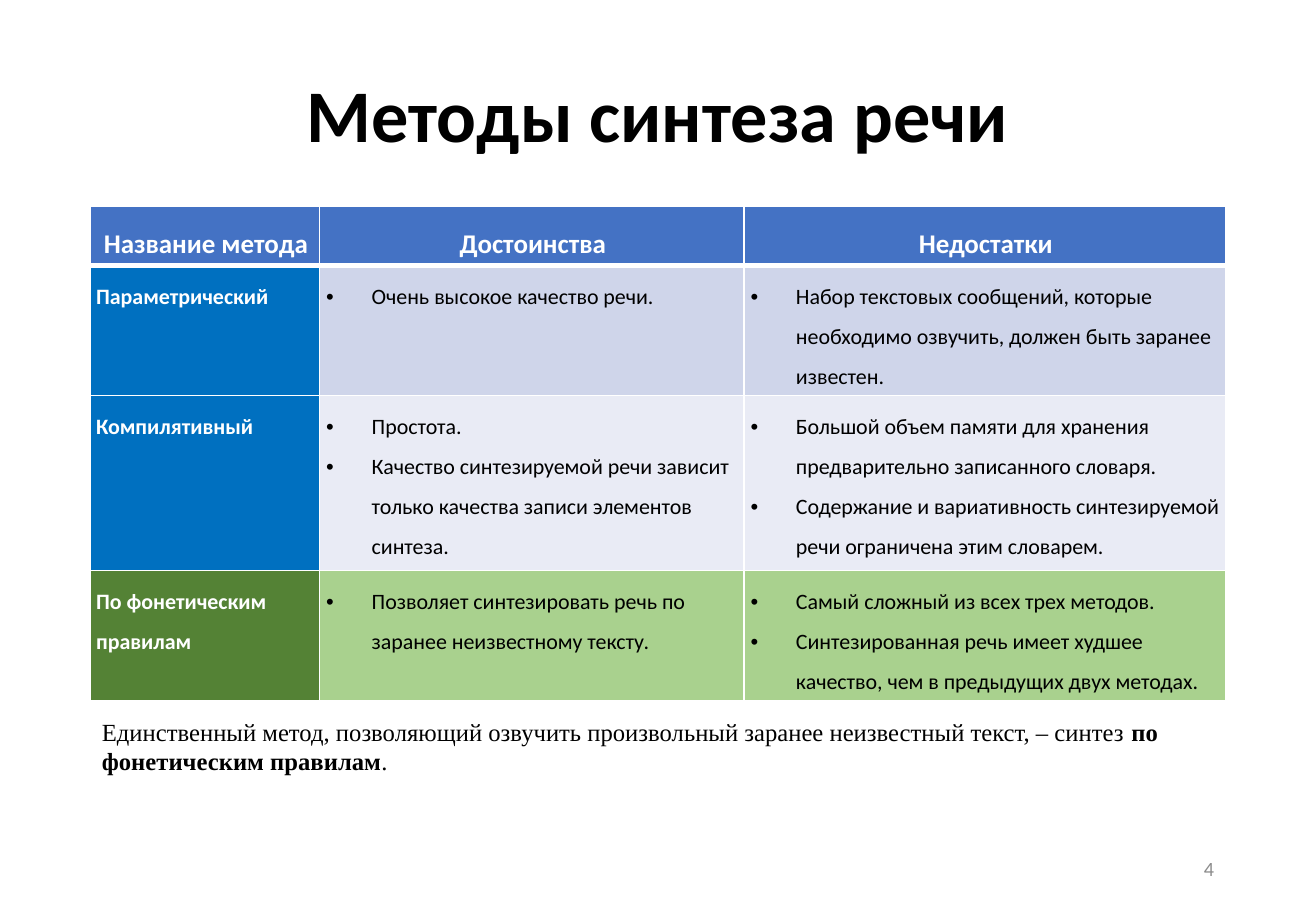
from lxml.etree import SubElement
from pptx import Presentation
from pptx.dml.color import RGBColor
from pptx.enum.text import MSO_ANCHOR as Anchor, MSO_AUTO_SIZE as AutoSize, PP_ALIGN as Align
from pptx.oxml import parse_xml
from pptx.oxml.ns import nsdecls, qn
from pptx.util import Cm, Pt

HEADING = "Методы синтеза речи"
HEADERS = ["Название метода", "Достоинства", "Недостатки"]
METHODS = [
    ("Параметрический",
     ["Очень высокое качество речи."],
     ["Набор текстовых сообщений, которые необходимо озвучить, должен быть заранее известен."]),
    ("Компилятивный",
     ["Простота.",
      "Качество синтезируемой речи зависит только качества записи элементов синтеза."],
     ["Большой объем памяти для хранения предварительно записанного словаря.",
      "Содержание и вариативность синтезируемой речи ограничена этим словарем."]),
    ("По фонетическим правилам",
     ["Позволяет синтезировать речь по заранее неизвестному тексту."],
     ["Самый сложный из всех трех методов.",
      "Синтезированная речь имеет худшее качество, чем в предыдущих двух методах."]),
]
CONCLUSION = [
    ("Единственный метод, позволяющий озвучить произвольный заранее неизвестный текст, – синтез ", False),
    ("по фонетическим правилам", True),
    (".", False),
]
PAGE = "4"

HEADER_FILL = "4472C4"
METHOD_FILLS = [("0070C0", "CFD5EA"), ("0070C0", "E9EBF5"), ("548235", "A9D18E")]
COLUMN_WIDTHS = [4.8, 8.87, 10.07]
ROW_HEIGHTS = [1.12, 2.6, 3.66, 2.6]
LEFT, WIDTH = 1.88, sum(COLUMN_WIDTHS)

HEADING_FONT = {"name": "Calibri", "size": Pt(44), "bold": True}
HEADER_FONT = {"name": "Calibri", "size": Pt(16), "bold": True}
METHOD_FONT = {"name": "Calibri", "size": Pt(13), "bold": True}
POINT_FONT = {"name": "Calibri", "size": Pt(13), "bold": False}
CONCLUSION_FONT = {"name": "Times New Roman", "size": Pt(14.6)}
PAGE_FONT = {"name": "Calibri", "size": Pt(12)}
CELL_MARGINS = {"margin_left": Cm(0.13), "margin_right": Cm(0.08),
                "margin_top": Cm(0.1), "margin_bottom": Cm(0.1)}


def color(target, value):
    target.rgb = RGBColor.from_string(value)


def apply(target, values):
    for key, value in values.items():
        setattr(target, key, value)


def write(paragraph, text, font, ink, **layout):
    run = paragraph.add_run()
    run.text = text
    apply(run.font, font)
    color(run.font.color, ink)
    apply(paragraph, layout)


def place(shape, left, top, width, height):
    apply(shape, {"left": Cm(left), "top": Cm(top), "width": Cm(width), "height": Cm(height)})


def add_bullet(paragraph):
    properties = paragraph._p.get_or_add_pPr()
    properties.set("marL", str(Cm(0.96)))
    properties.set("indent", str(-Cm(0.95)))
    ink = SubElement(properties, qn("a:buClr"))
    SubElement(ink, qn("a:srgbClr"), val="000000")
    SubElement(properties, qn("a:buFont"), typeface="Arial")
    SubElement(properties, qn("a:buChar"), char="•")


def add_borders(cell, top, bottom):
    sides = {"lnL": 1, "lnR": 1, "lnT": top, "lnB": bottom}
    for position, (side, points) in enumerate(sides.items()):
        border = parse_xml(
            f'<a:{side} {nsdecls("a")} w="{Pt(points)}"><a:solidFill>'
            f'<a:srgbClr val="FFFFFF"/></a:solidFill></a:{side}>')
        cell._tc.get_or_add_tcPr().insert(position, border)


def fill_cell(cell, lines, fill, font, ink, row, bulleted=False, align=Align.LEFT):
    apply(cell, CELL_MARGINS)
    cell.fill.solid()
    color(cell.fill.fore_color, fill)
    add_borders(cell, 3 if row == 1 else 1, 3 if row == 0 else 1)
    for index, line in enumerate(lines):
        frame = cell.text_frame
        paragraph = frame.add_paragraph() if index else frame.paragraphs[0]
        write(paragraph, line, font, ink, line_spacing=1.5, alignment=align)
        if bulleted:
            add_bullet(paragraph)


def build_table(slide):
    table = slide.shapes.add_table(
        len(ROW_HEIGHTS), len(COLUMN_WIDTHS),
        Cm(LEFT), Cm(4.32), Cm(WIDTH), Cm(sum(ROW_HEIGHTS))).table
    for column, width in zip(table.columns, COLUMN_WIDTHS):
        column.width = Cm(width)
    for row, height in zip(table.rows, ROW_HEIGHTS):
        row.height = Cm(height)
    for column, header in enumerate(HEADERS):
        fill_cell(table.cell(0, column), [header], HEADER_FILL, HEADER_FONT, "FFFFFF", 0,
                  align=Align.CENTER)
    for row, ((method, *points), fills) in enumerate(zip(METHODS, METHOD_FILLS), 1):
        method_fill, point_fill = fills
        fill_cell(table.cell(row, 0), [method], method_fill, METHOD_FONT, "FFFFFF", row)
        for column, lines in enumerate(points, 1):
            fill_cell(table.cell(row, column), lines, point_fill, POINT_FONT, "000000", row,
                      bulleted=True)


def main():
    deck = Presentation()
    apply(deck, {"slide_width": Cm(27.51), "slide_height": Cm(19.05)})
    slide = deck.slides.add_slide(deck.slide_layouts[5])

    heading = slide.shapes.title
    place(heading, LEFT, 1.22, WIDTH, 2.51)
    heading.text_frame.vertical_anchor = Anchor.MIDDLE
    write(heading.text_frame.paragraphs[0], HEADING, HEADING_FONT, "000000",
          alignment=Align.CENTER, line_spacing=0.9)

    build_table(slide)

    page = slide.shapes.add_textbox(Cm(19.43), Cm(17.65), Cm(6.2), Cm(1.02)).text_frame
    apply(page, {"word_wrap": True, "vertical_anchor": Anchor.MIDDLE})
    write(page.paragraphs[0], PAGE, PAGE_FONT, "8C8C8C", alignment=Align.RIGHT)

    conclusion = slide.shapes.add_textbox(Cm(LEFT), Cm(14.86), Cm(WIDTH), Cm(1.5)).text_frame
    apply(conclusion, {"word_wrap": True, "auto_size": AutoSize.SHAPE_TO_FIT_TEXT})
    for text, bold in CONCLUSION:
        write(conclusion.paragraphs[0], text, {**CONCLUSION_FONT, "bold": bold}, "000000")

    deck.save("out.pptx")


if __name__ == "__main__":
    main()
